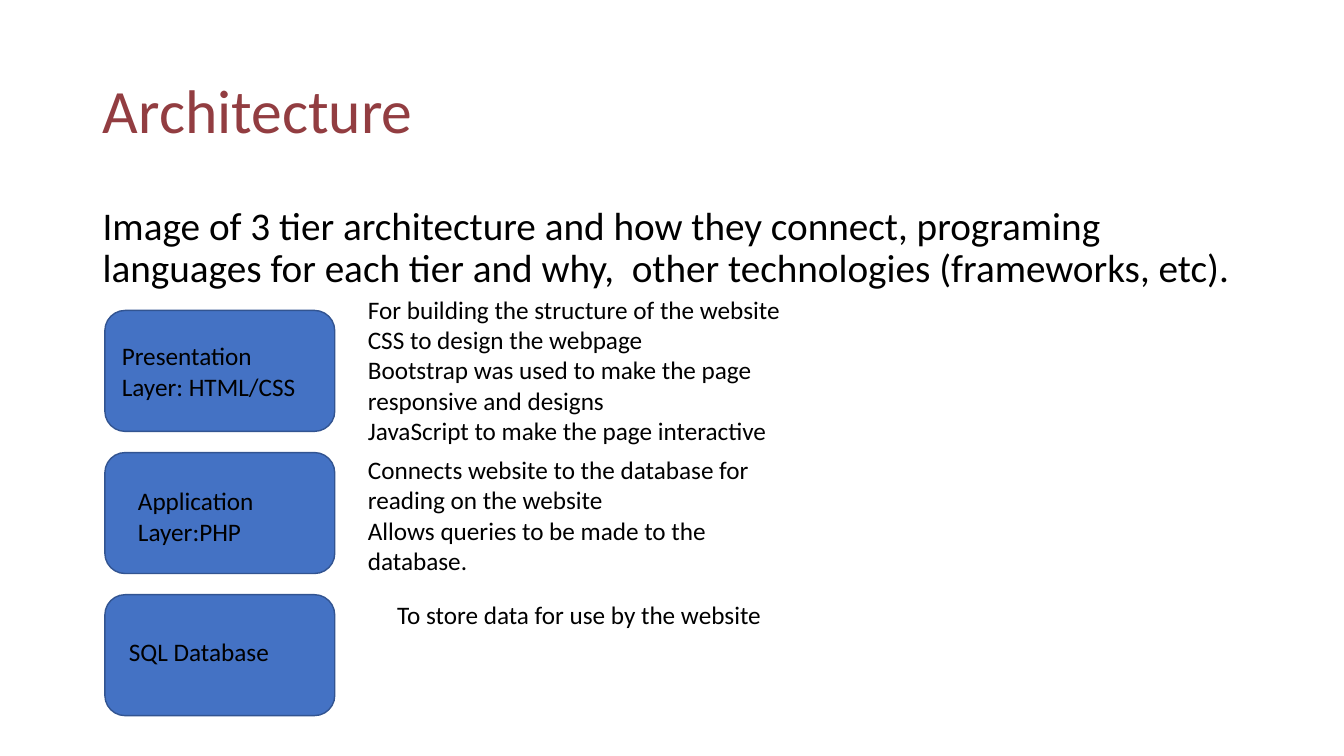
from pptx import Presentation
from pptx.dml.color import RGBColor
from pptx.enum.shapes import MSO_SHAPE
from pptx.enum.text import MSO_ANCHOR, MSO_AUTO_SIZE, PP_ALIGN
from pptx.util import Inches, Pt

ROUNDED = MSO_SHAPE.ROUNDED_RECTANGLE
TOP, MIDDLE = MSO_ANCHOR.TOP, MSO_ANCHOR.MIDDLE
LEFT = PP_ALIGN.LEFT
NO_AUTOFIT = MSO_AUTO_SIZE.NONE

FONT = "Calibri"
TITLE_RED = RGBColor(0x92, 0x3D, 0x41)
BLACK = RGBColor(0x00, 0x00, 0x00)
TIER_BLUE = RGBColor(0x44, 0x72, 0xC4)
TIER_EDGE = RGBColor(0x32, 0x54, 0x91)

TITLE_BOX = (0.92, 0.4, 11.5, 1.45)
INTRO_BOX = (0.92, 2, 11.5, 1)
TIER_BOX = (1.04, 3.08, 2.28, 1.2)
TIER_PITCH = 1.41

INTRO = ("Image of 3 tier architecture and how they connect, programing languages "
         "for each tier and why,  other technologies (frameworks, etc).")

# Label, its box, notes and their box; boxes are offsets from the tier's corner.
TIERS = [
    ("Presentation Layer: HTML/CSS", (0.07, 0.25, 1.97, 0.71),
     ["For building the structure of the website",
      "CSS to design the webpage",
      "Bootstrap was used to make the page responsive and designs",
      "JavaScript to make the page interactive"], (2.51, -0.21, 4.64, 1.62)),
    ("Application Layer:PHP", (0.23, 0.28, 1.83, 0.71),
     ["Connects website to the database for reading on the website",
      "Allows queries to be made to the database."], (2.51, -0.03, 4.21, 1.31)),
    ("SQL Database", (0.14, 0.36, 2, 0.4),
     ["To store data for use by the website"], (2.8, 0, 3.83, 0.4)),
]


def write_text(shape, lines, size=18, color=BLACK, anchor=TOP,
               line_spacing=1.0, space_before=0):
    frame = shape.text_frame
    frame.word_wrap = True
    frame.auto_size = NO_AUTOFIT
    frame.vertical_anchor = anchor
    for index, line in enumerate(lines):
        para = frame.add_paragraph() if index else frame.paragraphs[0]
        para.alignment = LEFT
        para.line_spacing = line_spacing
        para.space_before = Pt(space_before)
        span = para.add_run()
        span.text = line
        span.font.name = FONT
        span.font.size = Pt(size)
        span.font.color.rgb = color


def add_text(page, box, lines, **text_format):
    shape = page.shapes.add_textbox(*map(Inches, box))
    write_text(shape, lines, **text_format)


def add_title(page, box):
    title = page.shapes.title
    title.left, title.top, title.width, title.height = map(Inches, box)
    write_text(title, ["Architecture"], size=44, color=TITLE_RED,
               anchor=MIDDLE, line_spacing=0.9)


def add_tier(page, box, label, label_offset, notes, notes_offset):
    """Draw one tier block with its label inside and its notes to the right."""
    left, top = box[:2]
    block = page.shapes.add_shape(ROUNDED, *map(Inches, box))
    block.shadow.inherit = False
    block.fill.solid()
    block.fill.fore_color.rgb = TIER_BLUE
    block.line.color.rgb = TIER_EDGE
    block.line.width = Pt(1)
    for lines, (dx, dy, width, height) in (([label], label_offset),
                                           (notes, notes_offset)):
        add_text(page, (left + dx, top + dy, width, height), lines)


def add_tiers(page, box):
    left, top, width, height = box
    for row, tier in enumerate(TIERS):
        add_tier(page, (left, top + row * TIER_PITCH, width, height), *tier)


def main():
    deck = Presentation()
    deck.slide_width, deck.slide_height = Inches(13.33), Inches(7.5)
    page = deck.slides.add_slide(deck.slide_layouts[5])
    add_title(page, TITLE_BOX)
    add_text(page, INTRO_BOX, [INTRO], size=28, line_spacing=0.9, space_before=10)
    add_tiers(page, TIER_BOX)
    deck.save("out.pptx")


if __name__ == "__main__":
    main()
